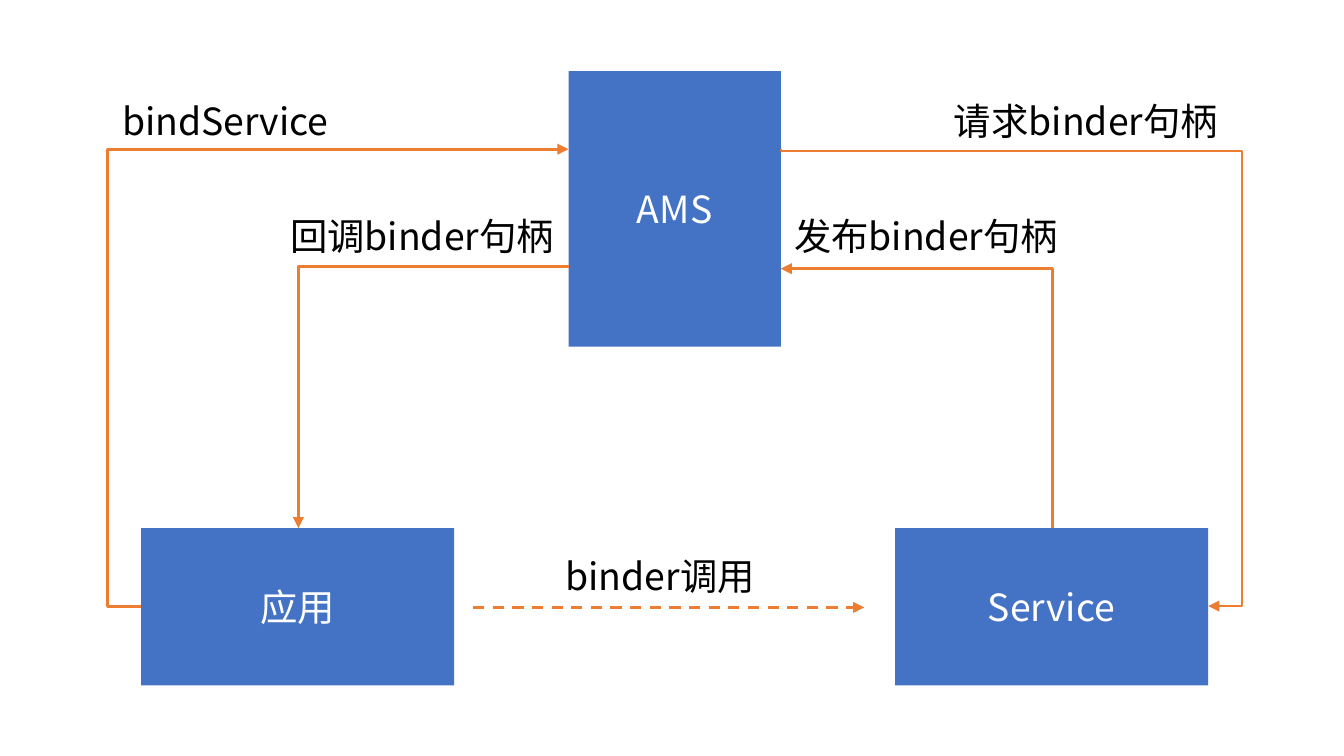
from lxml import etree
from pptx import Presentation
from pptx.dml.color import RGBColor
from pptx.enum.dml import MSO_LINE
from pptx.enum.shapes import MSO_CONNECTOR, MSO_SHAPE
from pptx.enum.text import MSO_ANCHOR, MSO_AUTO_SIZE, PP_ALIGN
from pptx.oxml.ns import qn
from pptx.util import Emu, Pt

PX = 4572  # 200 px to the inch
FONT = "Noto Sans CJK SC"
COLORS = {"box": "4472C4", "arrow": "ED7D31", "light": "FFFFFF", "dark": "000000"}
RECT = MSO_SHAPE.RECTANGLE
ELBOW, STRAIGHT = MSO_CONNECTOR.ELBOW, MSO_CONNECTOR.STRAIGHT
DASH = MSO_LINE.DASH
MIDDLE, CENTER = MSO_ANCHOR.MIDDLE, PP_ALIGN.CENTER
GROW = MSO_AUTO_SIZE.SHAPE_TO_FIT_TEXT
TOP, LEFT, RIGHT = 0, 1, 3  # connection sites of a rectangle

BOX_W, BOX_H, BOX_Y = 466, 234, 786
UPPER_Y, LOWER_Y = 136, 308  # label rows beside the AMS box
HANDLE_W = 440


def px(n):
    return Emu(int(n * PX))


def color(name):
    return RGBColor.from_string(COLORS[name])


def write(tf, text, color_name):
    tf.text = text
    r = tf.paragraphs[0].runs[0]
    r.font.size = Pt(20)
    r.font.name = FONT
    r.font.color.rgb = color(color_name)
    etree.SubElement(r.font._element, qn("a:ea"), typeface=FONT)


def add_box(s, text, x, y, w, h):
    sp = s.shapes.add_shape(RECT, px(x), px(y), px(w), px(h))
    sp.shadow.inherit = False
    sp.fill.solid()
    sp.fill.fore_color.rgb = color("box")
    sp.line.fill.background()
    tf = sp.text_frame
    write(tf, text, "light")
    tf.vertical_anchor = MIDDLE
    tf.paragraphs[0].alignment = CENTER
    return sp


def add_label(s, text, x, y, w):
    tf = s.shapes.add_textbox(px(x), px(y), px(w), px(88)).text_frame
    tf.word_wrap = True
    tf.auto_size = GROW
    write(tf, text, "dark")


def add_arrow(s, start, end, kind=STRAIGHT):
    c = s.shapes.add_connector(kind, *map(px, start + end))
    c.line.color.rgb = color("arrow")
    c.line.width = Pt(1.5)
    etree.SubElement(c.line._get_or_add_ln(), qn("a:tailEnd"), type="triangle")
    etree.SubElement(c._element.spPr, qn("a:effectLst"))
    return c


def add_elbow(s, start, end, preset, rotation, flip, begin=None, finish=None, adjust=()):
    """Add a bent arrow; begin and finish are (shape, site) pairs to attach to."""
    c = add_arrow(s, start, end, ELBOW)
    if begin:
        c.begin_connect(*begin)
    if finish:
        c.end_connect(*finish)
    w, h = abs(end[0] - start[0]), abs(end[1] - start[1])
    mid_x, mid_y = (start[0] + end[0]) / 2, (start[1] + end[1]) / 2
    if rotation % 180:  # a quarter turn swaps the sides of the frame
        w, h = h, w
    c.left, c.top = px(mid_x - w / 2), px(mid_y - h / 2)
    c.width, c.height = px(w), px(h)
    xfrm = c._element.spPr.find(qn("a:xfrm"))
    xfrm.set("rot", str(rotation * 60000))
    for axis in "HV":
        xfrm.set("flip" + axis, str(int(axis == flip)))
    geom = c._element.spPr.find(qn("a:prstGeom"))
    geom.set("prst", preset)
    guides = geom.find(qn("a:avLst"))
    for i, value in enumerate(adjust, 1):
        etree.SubElement(guides, qn("a:gd"), name=f"adj{i}", fmla=f"val {value}")


def main():
    prs = Presentation()
    prs.slide_width, prs.slide_height = px(2000), px(1125)
    s = prs.slides.add_slide(prs.slide_layouts[6])

    app = add_box(s, "应用", 210, BOX_Y, BOX_W, BOX_H)
    service = add_box(s, "Service", 1332, BOX_Y, BOX_W, BOX_H)
    add_box(s, "AMS", 846, 106, 316, 410)

    add_label(s, "请求binder句柄", 1400, UPPER_Y, HANDLE_W)
    add_label(s, "发布binder句柄", 1162, LOWER_Y, HANDLE_W)
    add_elbow(s, (1162, 222), (1798, 902), "bentConnector4", 270, "H",
              finish=(service, RIGHT), adjust=(400, 107900))
    add_elbow(s, (1566, 786), (1162, 400), "bentConnector2", 270, "V",
              begin=(service, TOP))
    add_elbow(s, (210, 902), (846, 222), "bentConnector4", 180, "H",
              begin=(app, LEFT), adjust=(-7900, 100000))
    add_label(s, "bindService", 162, UPPER_Y, 354)
    add_elbow(s, (846, 396), (444, 786), "bentConnector2", 180, "V",
              finish=(app, TOP))
    add_label(s, "回调binder句柄", 412, LOWER_Y, HANDLE_W)
    call = add_arrow(s, (704, 904), (1286, 904))
    call.line.dash_style = DASH
    add_label(s, "binder调用", 822, 814, 328)

    prs.save("out.pptx")


if __name__ == "__main__":
    main()
